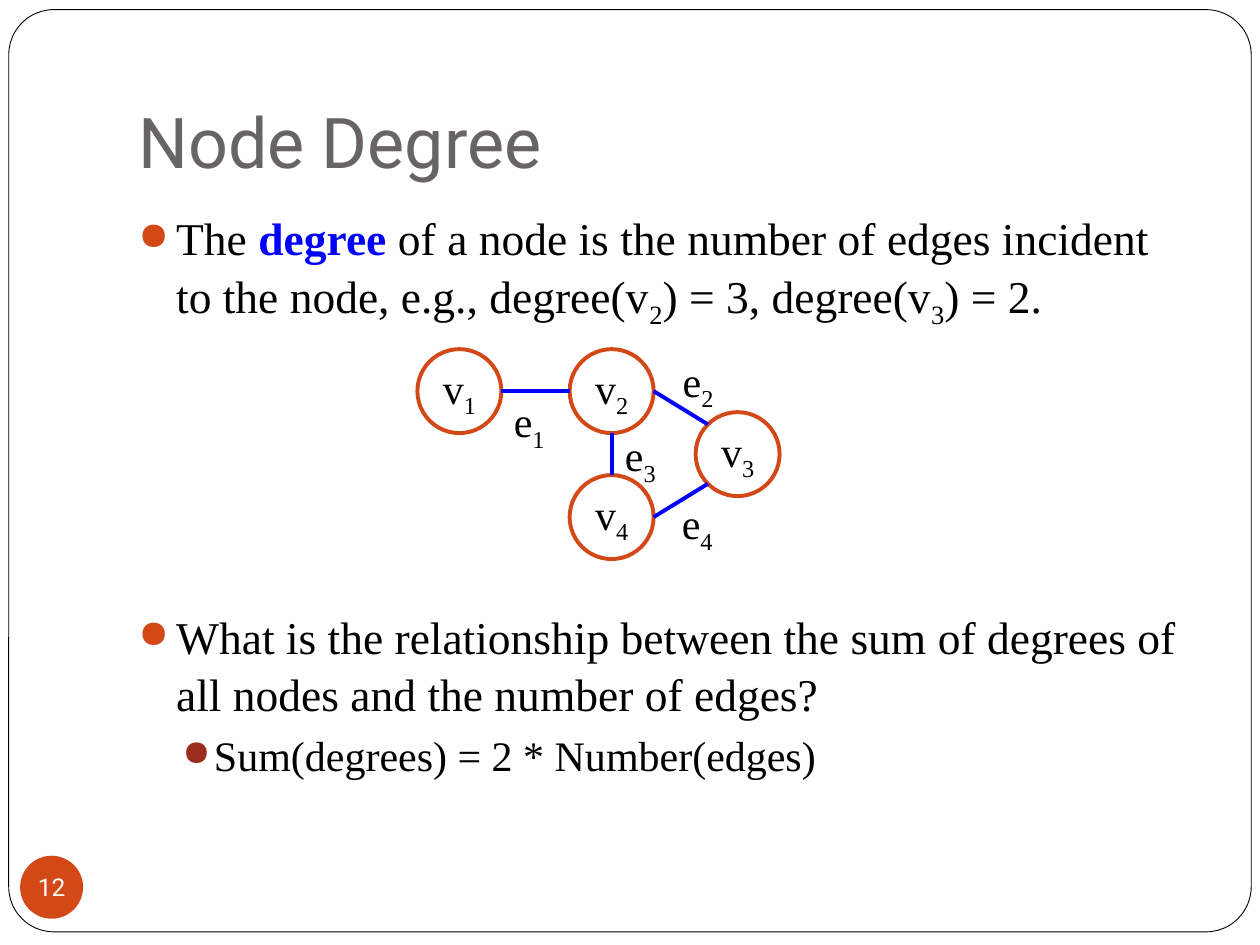
import math
import pptx
import pptx.util
import pptx.dml.color
import pptx.enum.shapes
import pptx.enum.text
import pptx.oxml
import pptx.oxml.ns

Pt = pptx.util.Pt
SHAPE = pptx.enum.shapes.MSO_SHAPE
ANCHOR = pptx.enum.text.MSO_ANCHOR
ALIGN = pptx.enum.text.PP_ALIGN
SERIF, SANS = "Times New Roman", "Roboto"
BLACK, WHITE, BLUE, ORANGE, RED, GREY = (
    "000000", "FFFFFF", "0000FF", "D34817", "9B2D1F", "696464")

# Content: a run is (text, style), where style is "", "bold" or "sub"
TITLE, NUMBER = "Node Degree", "12"
BULLETS = [  # runs, size, left indent, hanging, space before, bullet colour
    ([("The ", ""), ("degree ", "bold"),
      ("of a node is the number of edges incident to the node, e.g., degree(v", ""),
      ("2", "sub"), (") = 3, degree(v", ""), ("3", "sub"), (") = 2.", "")],
     26, 21.6, 21.6, 0, ORANGE),
    ([("What is the relationship between the sum of degrees of all nodes "
       "and the number of edges?", "")], 26, 21.6, 21.6, 157.5, ORANGE),
    ([("Sum(degrees) = 2 * Number(edges)", "")], 24, 43.2, 18, 3.7, RED),
]
DIAMETER = 48
NODES = {"1": (262.5, 223.5), "2": (349.5, 223.5),
         "3": (421.5, 259.5), "4": (349.5, 295.5)}  # centres
EDGES = [  # node, angle, node, angle (clockwise from the right), label, its place
    ("1", 0, "2", 180, "1", (286.5, 222.5)),
    ("2", 0, "3", 225, "2", (383, 199.5)),
    ("4", 270, "2", 90, "3", (350, 242)),
    ("4", 0, "3", 135, "4", (382.5, 281)),
]


def color(value):
    return pptx.dml.color.RGBColor.from_string(value)


def add_runs(p, runs, size, font=SERIF, fill=BLACK):
    for text, style in runs:
        r = p.add_run()
        r.text = text
        r.font.size, r.font.name = Pt(size), font
        r.font.bold = style == "bold"
        r.font.color.rgb = color(BLUE if style == "bold" else fill)
        if style == "sub":
            r.font._element.set("baseline", "-25000")


def add_shape(kind, box, fill=None, line=None, width=1):
    sp = s.shapes.add_shape(kind, *map(Pt, box))
    sp.shadow.inherit = False
    if fill:
        sp.fill.solid()
        sp.fill.fore_color.rgb = color(fill)
    else:
        sp.fill.background()
    if line:
        sp.line.color.rgb = color(line)
        sp.line.width = Pt(width)
    else:
        sp.line.fill.background()
    return sp


def center_text(sp, runs, size, font, fill):
    tf = sp.text_frame
    tf.margin_left = tf.margin_right = tf.margin_top = tf.margin_bottom = 0
    tf.word_wrap, tf.vertical_anchor = False, ANCHOR.MIDDLE
    tf.paragraphs[0].alignment = ALIGN.CENTER
    add_runs(tf.paragraphs[0], runs, size, font, fill)


def add_text(box, wrap=True):
    tf = s.shapes.add_textbox(*map(Pt, box)).text_frame
    tf.word_wrap = wrap
    return tf


def set_bullet(p, left, hanging, fill):
    pPr = p._p.get_or_add_pPr()
    pPr.set("marL", str(int(Pt(left))))
    pPr.set("indent", str(-int(Pt(hanging))))
    ns = pptx.oxml.ns.nsdecls("a")
    for xml in (f'<a:buClr {ns}><a:srgbClr val="{fill}"/></a:buClr>',
                f'<a:buSzPct {ns} val="85000"/>',
                f'<a:buChar {ns} char="\u25cf"/>'):
        pPr.append(pptx.oxml.parse_xml(xml))


def rim(node, angle):
    x, y = NODES[node]
    a = math.radians(angle)
    return (x + DIAMETER / 2 * math.cos(a), y + DIAMETER / 2 * math.sin(a))


prs = pptx.Presentation()
prs.slide_width, prs.slide_height = Pt(720), Pt(540)
s = prs.slides.add_slide(prs.slide_layouts[6])

# Frame, title and slide number
frame = add_shape(SHAPE.ROUNDED_RECTANGLE, (5, 5.5, 710, 527), WHITE, BLACK, 0.5)
frame.adjustments[0] = 0.049
tf = add_text((72, 21.6, 612, 90))
tf.vertical_anchor, tf.margin_bottom = ANCHOR.BOTTOM, Pt(7.2)
add_runs(tf.paragraphs[0], [(TITLE, "")], 40, SANS, GREY)
badge = add_shape(SHAPE.OVAL, (11.5, 489, 36, 36), ORANGE)
center_text(badge, [(NUMBER, "")], 14, SANS, WHITE)

# Bulleted text, with room for the graph between the two main points
tf = add_text((72, 113.75, 612, 360))
tf.margin_top = Pt(5)
for i, (runs, size, left, hanging, before, fill) in enumerate(BULLETS):
    p = tf.add_paragraph() if i else tf.paragraphs[0]
    p.space_before, p.line_spacing = Pt(before), 1.05
    set_bullet(p, left, hanging, fill)
    add_runs(p, runs, size)

# Graph nodes
for name, (x, y) in NODES.items():
    box = (x - DIAMETER / 2, y - DIAMETER / 2, DIAMETER, DIAMETER)
    sp = add_shape(SHAPE.OVAL, box, line=ORANGE, width=2.25)
    center_text(sp, [("v", ""), (name, "sub")], 24, SERIF, BLACK)

# Graph edges and their labels
for start, a1, end, a2, name, place in EDGES:
    points = rim(start, a1) + rim(end, a2)
    line = s.shapes.add_connector(
        pptx.enum.shapes.MSO_CONNECTOR.STRAIGHT, *map(Pt, points))
    line.line.color.rgb, line.line.width = color(BLUE), Pt(2.25)
    line._element.spPr.append(pptx.oxml.parse_xml(
        f'<a:effectLst {pptx.oxml.ns.nsdecls("a")}/>'))
    tf = add_text((*place, 32, 36), wrap=False)
    add_runs(tf.paragraphs[0], [("e", ""), (name, "sub")], 24)

prs.save("out.pptx")
